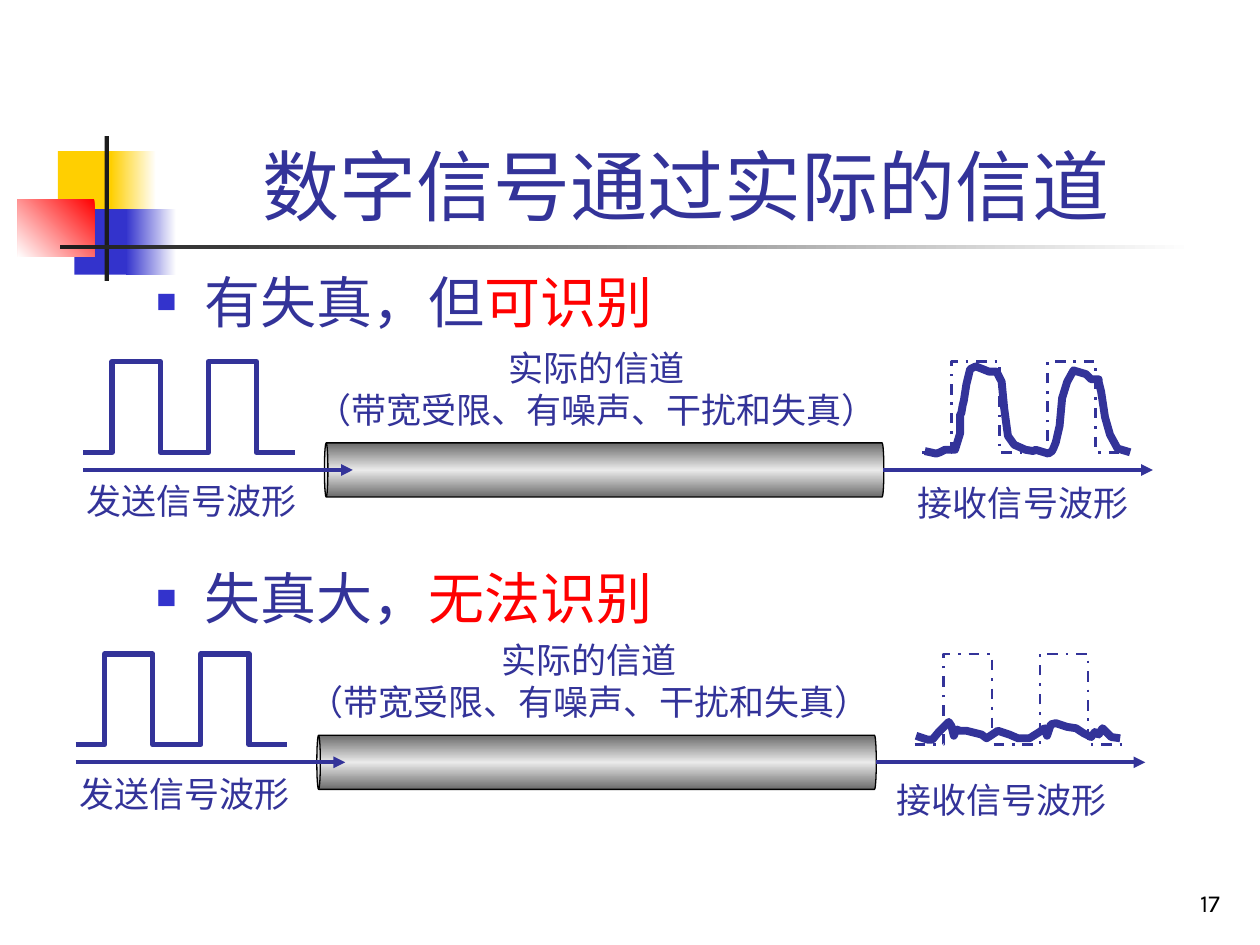
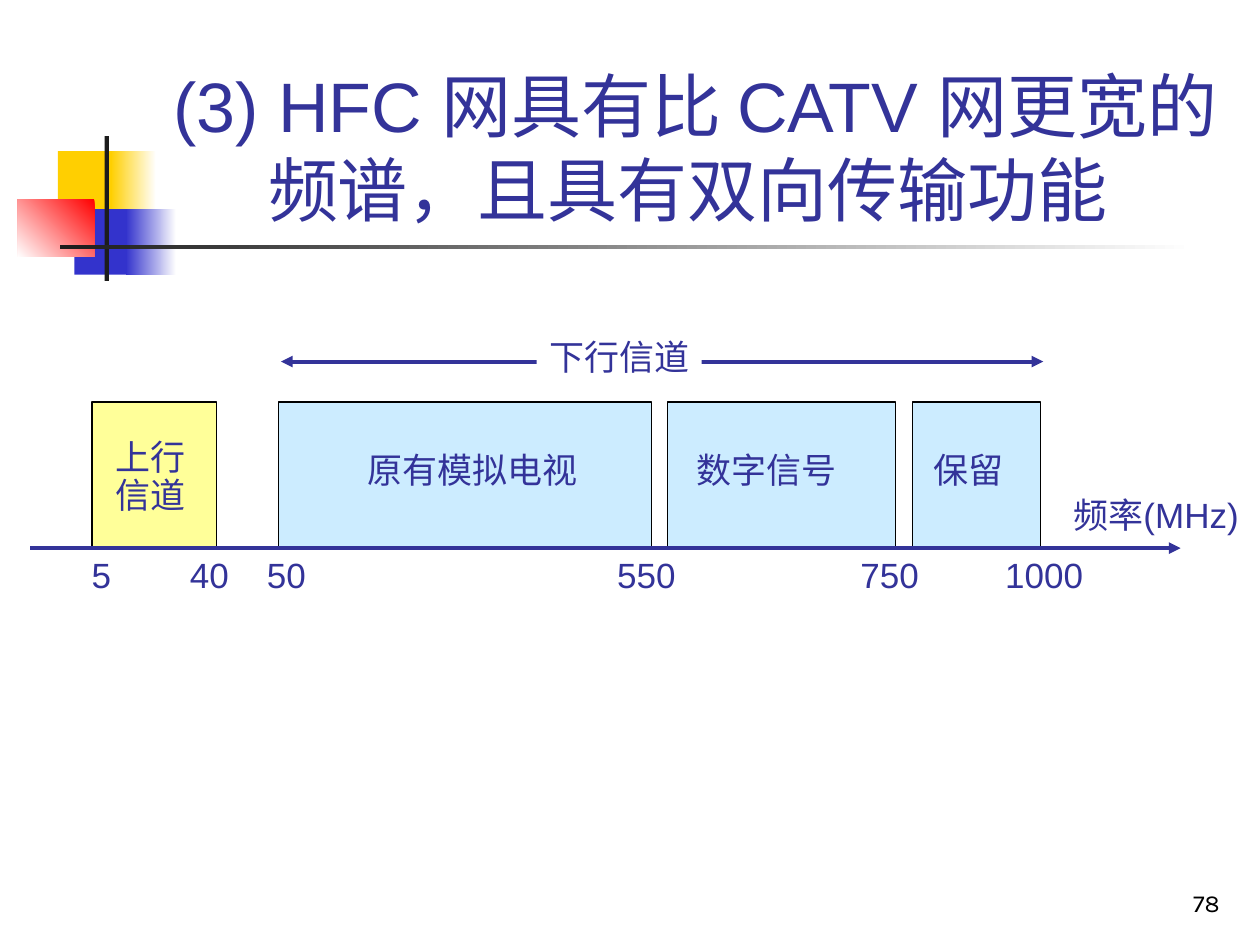
from pptx import Presentation
from pptx import util as u
from pptx.dml.color import RGBColor
from pptx.enum import dml, shapes, text
from pptx.oxml import ns, parse_xml

CELL = u.Inches(10) / 100
INK, RED, BLACK, WHITE = "333399", "FF0000", "000000", "FFFFFF"
BLUE, YELLOW, DARK = "3333CC", "FFCF01", "1C1C1C"
PALE_BLUE, PALE_YELLOW = "CCECFF", "FFFF99"
SANS, SERIF, CHINESE, NUMERAL = "Arial", "Times New Roman", "Noto Sans CJK SC", "Karla"
LEFT, CENTER, RIGHT = text.PP_ALIGN.LEFT, text.PP_ALIGN.CENTER, text.PP_ALIGN.RIGHT
TOP, BOTTOM = text.MSO_ANCHOR.TOP, text.MSO_ANCHOR.BOTTOM
RECTANGLE = shapes.MSO_SHAPE.RECTANGLE

CLEAR_TRACE = [
    (668, 71), (677, 73), (680, 72), (684, 70), (692, 70), (696, 57), (696, 42), (697, 41),
    (698, 35), (699, 31), (701, 18), (704, 6), (708, 4), (709, 4), (719, 8), (725, 8),
    (729, 16), (731, 37), (734, 59), (739, 66), (748, 70), (754, 71), (756, 70), (766, 73),
    (769, 71), (770, 69), (772, 64), (775, 51), (777, 29), (781, 16), (786, 7), (796, 10),
    (800, 14), (806, 14), (806, 16), (808, 24), (811, 44), (815, 58), (821, 69), (831, 72),
]
LOST_TRACE = [
    (667, 65), (676, 68), (680, 68), (685, 62), (693, 54), (695, 57), (697, 65), (699, 60),
    (702, 61), (707, 61), (719, 64), (723, 67), (732, 61), (741, 64), (748, 67), (757, 67),
    (765, 62), (769, 59), (771, 65), (774, 56), (778, 55), (787, 58), (794, 59), (800, 63),
    (806, 66), (809, 62), (812, 64), (815, 59), (822, 66), (829, 67),
]


def cells(*lengths):
    """Turn grid lengths (100 columns by 75 rows) into slide units."""
    return [round(length * CELL) for length in lengths]


def colour(code):
    """Turn a hex string into a colour."""
    return RGBColor.from_string(code)


def element(markup):
    """Build a drawing element from its inner markup."""
    name, _, rest = markup.partition(" ")
    return parse_xml(f"<a:{name} {ns.nsdecls('a')} {rest}")


def write(frame, paragraphs, size=20, font=SANS, ink=INK, align=LEFT, anchor=TOP,
          spacing=1.2, gap=0, wrap=False, bullet=False, tabs=()):
    """Fill a text frame; a paragraph is a string or a list of (words, colour) spans."""
    frame.auto_size = text.MSO_AUTO_SIZE.NONE
    frame.word_wrap, frame.vertical_anchor = wrap, anchor
    for index, content in enumerate(paragraphs):
        para = frame.add_paragraph() if index else frame.paragraphs[0]
        props = para._p.get_or_add_pPr()
        if bullet:
            indent = u.Inches(0.38)
            props.set("marL", str(indent))
            props.set("indent", str(-indent))
            props.append(element(f'buClr ><a:srgbClr val="{BLUE}"/></a:buClr>'))
            props.append(element('buSzPct val="60000"/>'))
            props.append(element('buChar char="■"/>'))
        if tabs:
            stops = "".join(f'<a:tab pos="{stop}" algn="l"/>' for stop in cells(*tabs))
            props.append(element(f"tabLst >{stops}</a:tabLst>"))
        para.alignment = align
        para.line_spacing = u.Pt(round(size * spacing, 1))
        para.space_before = u.Pt(gap if index else 0)
        spans = [(content, ink)] if isinstance(content, str) else content
        for words, tint in spans:
            span = para.add_run()
            span.text = words
            span.font.size = u.Pt(size)
            span.font.color.rgb = colour(tint)
            span.font.name = font
            span._r.get_or_add_rPr().append(element(f'ea typeface="{CHINESE}"/>'))


def label(page, box, *paragraphs, fill=None, **style):
    """Add a text box."""
    item = page.shapes.add_textbox(*cells(*box))
    if fill:
        item.fill.solid()
        item.fill.fore_color.rgb = colour(fill)
    write(item.text_frame, paragraphs, **style)


def shade(item, stops, angle):
    """Give a shape a linear gradient that keeps its direction on the page."""
    marks = "".join(
        f'<a:gs pos="{spot * 1000}"><a:srgbClr val="{code}"/></a:gs>' for spot, code in stops)
    item.element.spPr.insert(2, element(
        f'gradFill rotWithShape="0"><a:gsLst>{marks}</a:gsLst>'
        f'<a:lin ang="{angle * 60000}" scaled="0"/></a:gradFill>'))


def block(page, kind, box, fill, line=None, angle=180):
    """Add a preset shape with a plain colour or a list of gradient stops."""
    item = page.shapes.add_shape(kind, *cells(*box))
    if isinstance(fill, str):
        item.fill.solid()
        item.fill.fore_color.rgb = colour(fill)
    else:
        shade(item, fill, angle)
    if line:
        item.line.color.rgb, item.line.width = colour(line), u.Pt(0.75)
    else:
        item.line.fill.background()
    item.shadow.inherit = False
    return item


def arrow(page, start, end, both=False):
    """Draw a straight arrow, with a head at one end or both."""
    item = page.shapes.add_connector(shapes.MSO_CONNECTOR.STRAIGHT, *cells(*start, *end))
    item.line.color.rgb, item.line.width = colour(INK), u.Pt(2.25)
    line = item.line._get_or_add_ln()
    if both:
        line.append(element('headEnd type="triangle"/>'))
    line.append(element('tailEnd type="triangle"/>'))
    item.element.spPr.append(element("effectLst />"))


def wave(page, left, top, points, width, dash=None):
    """Draw an open outline through points given from the corner of its region."""
    spots = [cells(left + x, top + y) for x, y in points]
    builder = page.shapes.build_freeform(*spots[0])
    builder.add_line_segments(spots[1:], close=False)
    item = builder.convert_to_shape()
    item.fill.background()
    item.line.color.rgb, item.line.width = colour(INK), u.Pt(width)
    if dash:
        item.line.dash_style = dash
    item.shadow.inherit = False


def decorate(deck, page):
    """Draw the squares and rules that all slides share and move them to the master."""
    def fade(code):
        return [(0, WHITE), (100, code)]

    marks = [
        block(page, RECTANGLE, box, fill, angle=angle) for box, fill, angle in [
            ((4.6, 12, 4.8, 5.2), YELLOW, 0),
            ((8.8, 12, 3.6, 5.2), fade(YELLOW), 180),
            ((5.9, 16.6, 4.6, 5.2), BLUE, 0),
            ((10, 16.6, 4, 5.2), fade(BLUE), 180),
            ((1.4, 15.8, 6.1, 4.6), [(0, RED), (100, WHITE)], 135),
            ((8.3, 10.8, 0.35, 11.5), DARK, 0),
            ((4.8, 19.45, 90, 0.35), fade(DARK), 180),
        ]]
    for index, mark in enumerate(marks):
        mark.element.nvSpPr.cNvPr.set("id", str(100 + index))
        deck.slide_master.shapes.element.insert(2 + index, mark.element)


def place(holder, box):
    """Move a placeholder to a box on the grid."""
    holder.left, holder.top, holder.width, holder.height = cells(*box)


def start_page(deck, layout, title, number, top, size):
    """Add a slide with its title and slide number."""
    page = deck.slides.add_slide(deck.slide_layouts[layout])
    place(page.shapes.title, (12.6, top, 85.2, 18.3 - top))
    frame = page.shapes.title.text_frame
    write(frame, [title], size=size, align=CENTER, anchor=BOTTOM, wrap=True)
    frame.margin_bottom = 0
    label(page, (77, 68.3, 20.8, 5), number, size=14, font=NUMERAL, ink=BLACK,
          align=RIGHT, anchor=BOTTOM, wrap=True)
    return page


def channel(page, left, top, trace, received):
    """Draw a sent wave, the channel and the received wave from one corner."""
    edges = [2.3 + 3.82 * step for step in range(4)]
    rise, fall, rise_again, fall_again = edges
    square = [(0, 7.2), (rise, 7.2), (rise, 0), (fall, 0), (fall, 7.2), (rise_again, 7.2),
              (rise_again, 0), (fall_again, 0), (fall_again, 7.2), (16.8, 7.2)]
    pipe = block(page, shapes.MSO_SHAPE.CAN, (left + 39.2, top - 13.6, 4.3, 44.4),
                 [(0, "6B6B6B"), (50, "EAEAEA"), (100, "6B6B6B")], BLACK, 270)
    pipe.adjustments[0] = 0.065
    pipe.rotation = 270
    wave(page, left, top, square, 3)
    wave(page, left + 66.6, top, square, 1.5, dml.MSO_LINE.DASH_DOT)
    wave(page, left, top, [(x / 10, y / 10) for x, y in trace], 4.5)
    for begin in (0, 63.5):
        arrow(page, (left + begin, top + 8.6), (left + begin + 21.4, top + 8.6))
    label(page, (left + 17.5, top - 1.7, 46.5, 7.7), "实际的信道",
          "（带宽受限、有噪声、干扰和失真）", font=SERIF, align=CENTER)
    label(page, (left - 0.7, top + 8.9, 18.7, 4.4), "发送信号波形", font=CHINESE)
    across, down = received
    label(page, (left + across, top + down, 20.6, 4.4), "接收信号波形",
          font=CHINESE, align=CENTER)


def spectrum(page, left, top):
    """Draw the frequency axis with its bands, labels and scale."""
    arrow(page, (left + 19.9, top + 2.6), (left + 80.4, top + 2.6), both=True)
    label(page, (left + 40.2, top, 13.1, 4.4), "下行信道", fill=WHITE)
    for start, width, fill in [(4.9, 9.9, PALE_YELLOW), (19.7, 29.6, PALE_BLUE),
                               (50.6, 18.1, PALE_BLUE), (70, 10.2, PALE_BLUE)]:
        block(page, RECTANGLE, (left + start, top + 5.8, width, 11.6), fill, BLACK)
    label(page, (left + 5.8, top + 8.3, 7.5, 7), "上行", "信道", spacing=1.08)
    for start, width, name in [(25.8, 18.7, "原有模拟电视"), (51.9, 13.1, "数字信号"),
                               (70.7, 7.5, "保留")]:
        label(page, (left + start, top + 9, width, 4.4), name)
    label(page, (left + 81.8, top + 12.6, 15.8, 4.4), "频率(MHz)")
    label(page, (left + 3.9, top + 17.3, 82, 4.4), "5\t40\t50\t550\t750\t1000",
          wrap=True, tabs=(7.8, 13.9, 41.7, 61, 72.5))
    arrow(page, (left, top + 17.4), (left + 91.3, top + 17.4))


def build():
    """Build and save the deck."""
    deck = Presentation()
    deck.slide_width, deck.slide_height = cells(100, 75)

    page = start_page(deck, 1, "数字信号通过实际的信道 ", "17", 2.3, 44)
    decorate(deck, page)
    body = page.placeholders[1]
    place(body, (11.4, 20.2, 85, 45))
    write(body.text_frame, [[("有失真，但", INK), ("可识别", RED)],
                            [("失真大，", INK), ("无法识别", RED)]],
          size=32, spacing=1.32, gap=127, wrap=True, bullet=True)
    channel(page, 6.6, 28.7, CLEAR_TRACE, (64.3, 9))
    channel(page, 6, 51.9, LOST_TRACE, (63.2, 9.4))

    page = start_page(deck, 5, "(3) HFC 网具有比 CATV 网更宽的频谱，且具有双向传输功能 ",
                      "78", 9.1, 40)
    spectrum(page, 2.4, 26.1)
    deck.save("out.pptx")


if __name__ == "__main__":
    build()
